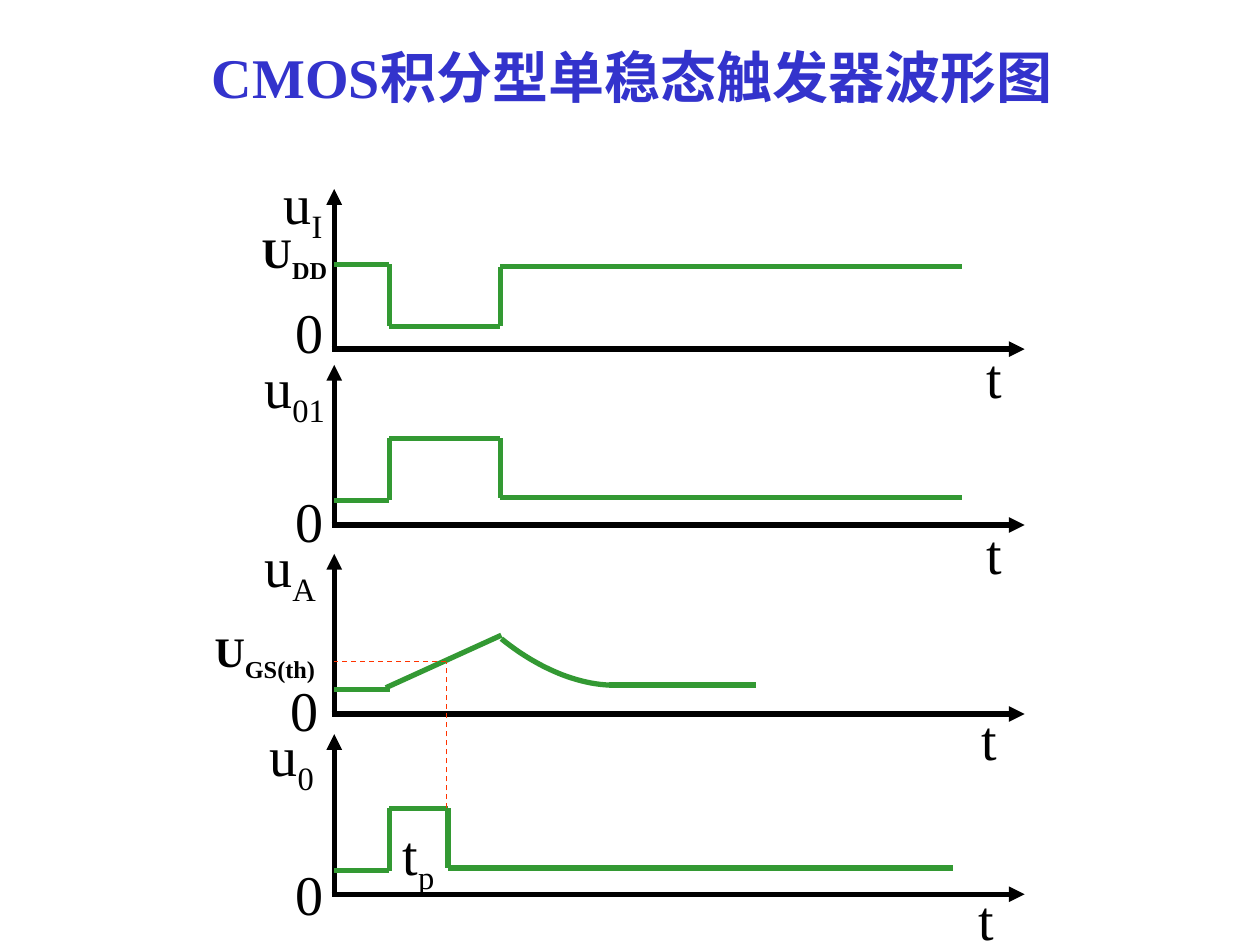
from dataclasses import dataclass
from itertools import pairwise

from lxml.etree import SubElement
from pptx import Presentation
from pptx.dml.color import RGBColor
from pptx.enum.dml import MSO_LINE
from pptx.enum.shapes import MSO_CONNECTOR
from pptx.enum.text import MSO_AUTO_SIZE
from pptx.oxml.ns import qn
from pptx.slide import Slide
from pptx.util import Pt


def color(value):
    """Turn a hex string into a colour."""
    return RGBColor.from_string(value)


def apply(target, values):
    """Set every attribute named in a dict."""
    for name, value in values.items():
        setattr(target, name, value)


@dataclass
class WaveformPage:
    """Hold the style and the current slide, and draw its elements."""

    page: Slide
    font: str = "Times New Roman"
    ink: str = "000000"
    signal: str = "339933"
    guide: str = "FF3300"
    heading: str = "3333CC"
    weight: float = 3

    def text(self, words, left, top, width, height, subscript="", size=32, bold=False, ink=None):
        """Add a label with an optional subscript."""
        box = self.page.shapes.add_textbox(Pt(left), Pt(top), Pt(width), Pt(height))
        apply(box.text_frame, {"word_wrap": True, "auto_size": MSO_AUTO_SIZE.SHAPE_TO_FIT_TEXT})
        para = box.text_frame.paragraphs[0]
        for part, baseline in ((words, None), (subscript, "-25000")):
            if not part:
                continue
            span = para.add_run()
            span.text = part
            apply(span.font, {"name": self.font, "size": Pt(size), "bold": bold})
            span.font.color.rgb = color(ink or self.ink)
            if baseline:
                span.font._element.set("baseline", baseline)

    def line(self, start, end, ink, weight=None, dash=None, arrow=False):
        """Add a straight line, dashed or with an arrowhead if asked."""
        ends = [Pt(value) for value in (*start, *end)]
        connector = self.page.shapes.add_connector(MSO_CONNECTOR.STRAIGHT, *ends)
        connector.line.color.rgb = color(ink)
        apply(connector.line, {"width": Pt(weight or self.weight), "dash_style": dash})
        if arrow:
            SubElement(connector.line._get_or_add_ln(), qn("a:tailEnd"), type="triangle")
        SubElement(connector._element.spPr, qn("a:effectLst"))

    def axes(self, base):
        """Add the time axis and the voltage axis of one graph."""
        self.line((189.5, base), (585.5, base), self.ink, arrow=True)
        self.line((191, base), (191, base - 91.5), self.ink, arrow=True)

    def wave(self, *points):
        """Join points with signal lines."""
        for start, end in pairwise(points):
            self.line(start, end, self.signal)

    def pulse(self, first, middle, last, fall, stop):
        """Add a signal that changes level at the trigger and again at fall."""
        rise = 222.5
        self.wave((191, first), (rise, first), (rise, middle),
                  (fall, middle), (fall, last), (stop, last))

    def curve(self, *controls, steps=24):
        """Add a cubic curve from its four control points."""
        points = []
        for step in range(steps + 1):
            t = step / steps
            weights = ((1 - t) ** 3, 3 * t * (1 - t) ** 2, 3 * t ** 2 * (1 - t), t ** 3)
            points.append(tuple(Pt(sum(w * p[axis] for w, p in zip(weights, controls)))
                                for axis in (0, 1)))
        builder = self.page.shapes.build_freeform(*points[0])
        builder.add_line_segments(points[1:], close=False)
        shape = builder.convert_to_shape()
        shape.shadow.inherit = False
        shape.fill.background()
        shape.line.color.rgb = color(self.signal)
        shape.line.width = Pt(self.weight)


def main():
    deck = Presentation()
    apply(deck, {"slide_width": Pt(720), "slide_height": Pt(540)})
    slide = WaveformPage(deck.slides.add_slide(deck.slide_layouts[6]))
    slide.text("CMOS积分型单稳态触发器波形图", 114, 21, 510, 46, bold=True, ink=slide.heading)

    graphs = (
        (199.5, "I", (155, 93), (162, 166.5), (556.5, 192)),
        (300, "01", (144, 198), (162, 274.5), (556.5, 292.5)),
        (408, "A", (144, 300), (159, 382.5), (553.5, 399)),
        (511, "0", (147, 408), (162, 487.5), (552, 502)),
    )
    for base, subscript, name, zero, time in graphs:
        slide.axes(base)
        slide.text("u", *name, 54, 51, subscript)
        slide.text("0", *zero, 54, 46)
        slide.text("t", *time, 54, 46)

    slide.pulse(151, 186.5, 152.5, fall=286, stop=550)
    slide.pulse(286, 250.5, 284.5, fall=286, stop=550)
    slide.pulse(497.5, 462, 496, fall=256, stop=544.5)
    slide.wave((191, 394), (223, 394))
    slide.wave((220.5, 393), (286.5, 363))
    slide.curve((286.5, 365), (305, 380), (327, 390.5), (348, 391.5))
    slide.wave((348, 391.5), (432, 391.5))

    for start, end in (((255, 462), (255, 378)), ((255, 378), (191, 378))):
        slide.line(start, end, slide.guide, weight=0.75, dash=MSO_LINE.DASH)
    slide.text("U", 142.5, 126, 66, 40, "DD", size=24, bold=True)
    slide.text("U", 115.5, 354, 84, 40, "GS(th)", size=24, bold=True)
    slide.text("t", 223, 465, 54, 51, "p")
    deck.save("out.pptx")


if __name__ == "__main__":
    main()
